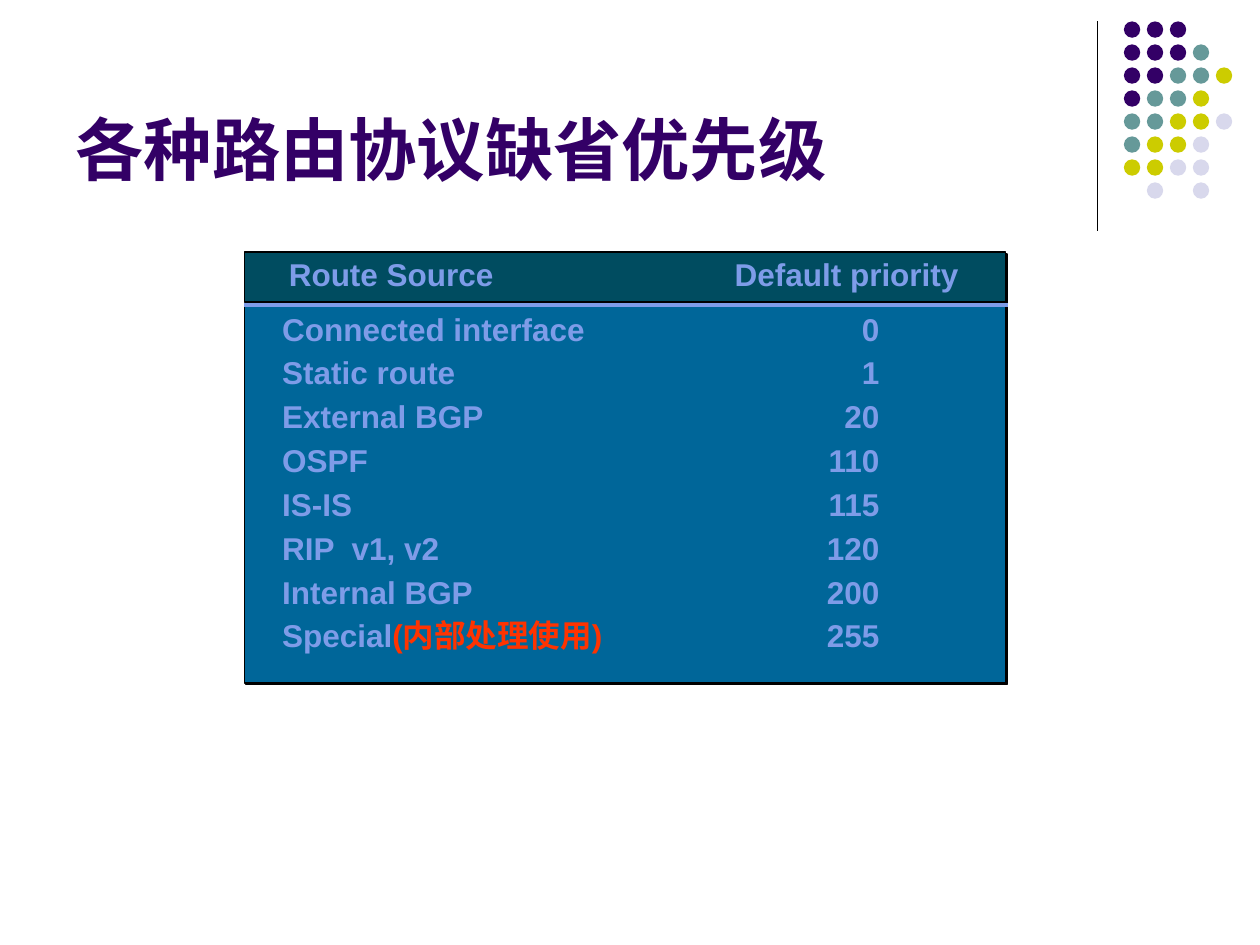
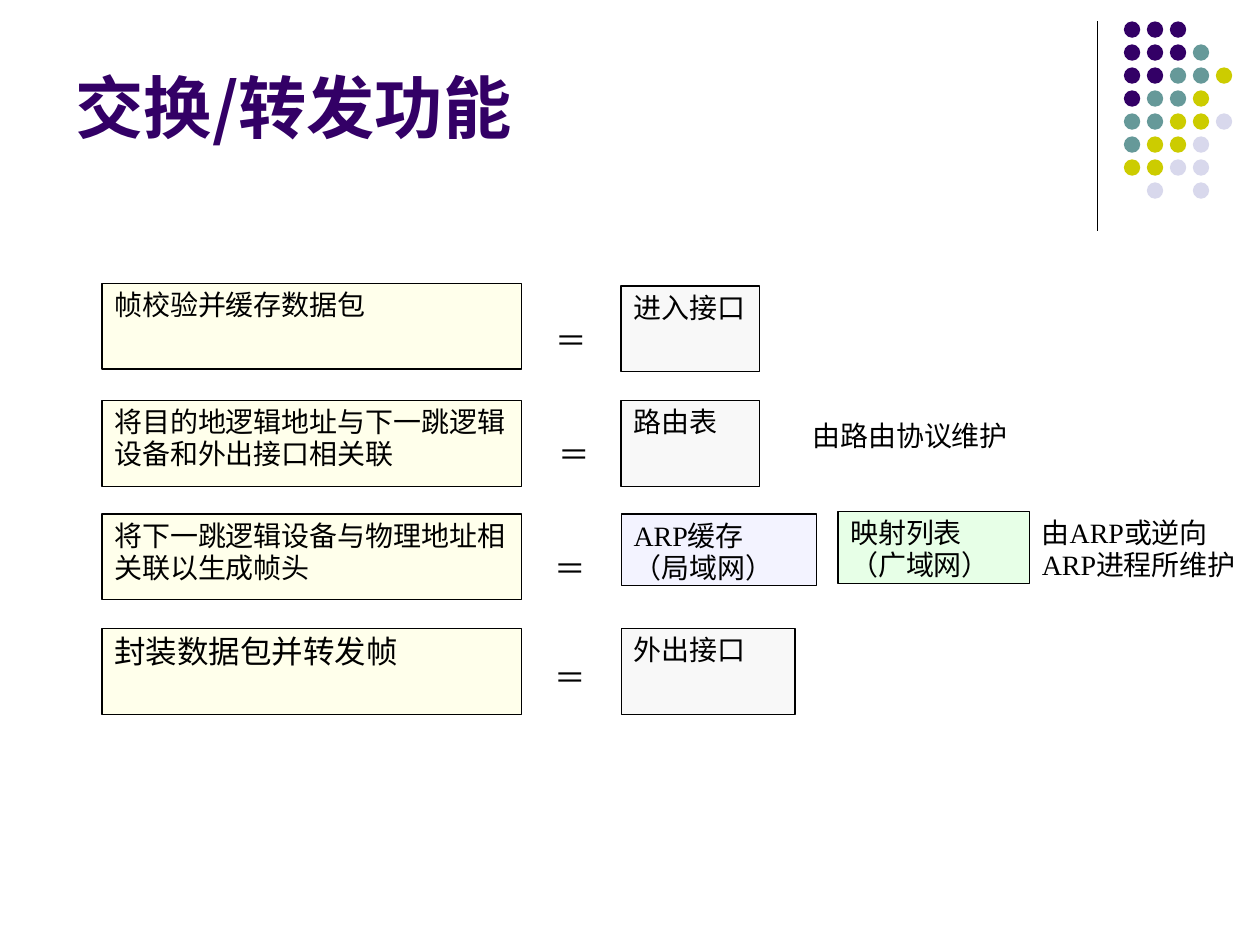
from dataclasses import dataclass

from lxml import etree
from pptx import Presentation
from pptx.dml.color import RGBColor
from pptx.enum import shapes, text
from pptx.oxml import ns
from pptx.util import Inches, Pt

PURPLE = RGBColor(0x33, 0x00, 0x66)
TEAL = RGBColor(0x66, 0x99, 0x99)
OLIVE = RGBColor(0xCC, 0xCC, 0x00)
LAVENDER = RGBColor(0xD8, 0xD8, 0xEC)
BLACK = RGBColor(0x00, 0x00, 0x00)
WHITE = RGBColor(0xFF, 0xFF, 0xFF)
HEADER_FILL = RGBColor(0x00, 0x4C, 0x60)
BODY_FILL = RGBColor(0x00, 0x66, 0x99)
PERIWINKLE = RGBColor(0x7E, 0x9C, 0xE8)
RED = RGBColor(0xFF, 0x33, 0x00)
CREAM = RGBColor(0xFF, 0xFF, 0xEB)
PALE_GREY = RGBColor(0xF8, 0xF8, 0xF8)
PALE_BLUE = RGBColor(0xF3, 0xF3, 0xFF)
PALE_GREEN = RGBColor(0xE7, 0xFF, 0xE7)

SANS = "Arial"
SERIF = "Times New Roman"
CJK = "Noto Sans CJK SC"

DOT_COLORS = {"P": PURPLE, "T": TEAL, "Y": OLIVE, "L": LAVENDER}
DOT_ROWS = ["PPP", "PPPT", "PPTTY", "PTTY", "TTYYL", "TYYL", "YYLL", " L L"]
DOT_PITCH = 0.73 / 4

ROUTE_PRIORITIES = [
    ("Connected interface", "", "0"),
    ("Static route", "", "1"),
    ("External BGP", "", "20"),
    ("OSPF", "", "110"),
    ("IS-IS", "", "115"),
    ("RIP  v1, v2", "", "120"),
    ("Internal BGP", "", "200"),
    ("Special", "(内部处理使用)", "255"),
]


@dataclass
class Box:
    left: float
    top: float
    width: float
    height: float

    def place(self):
        return [Inches(n) for n in (self.left, self.top, self.width, self.height)]


@dataclass
class Panel:
    box: Box
    lines: list[str]
    fill: RGBColor
    outlined: bool = True
    size: float = 16
    centered: bool = False


TITLE_BOX = Box(0.5, 0.13, 8.25, 1.42)
TABLE_HEADER = Box(1.94, 2, 6.04, 0.4)
TABLE_BODY = Box(1.94, 2.42, 6.04, 3)

STEP_TOPS = [2.25, 3.18, 4.08, 4.99]
STEPS = [
    ("帧校验并缓存数据包", 16),
    ("将目的地逻辑地址与下一跳逻辑设备和外出接口相关联", 16),
    ("将下一跳逻辑设备与物理地址相关联以生成帧头", 16),
    ("封装数据包并转发帧", 18),
]
EQUALS_BOXES = [
    Box(4.14, 2.5, 0.79, 0.34),
    Box(4.19, 3.4, 0.74, 0.34),
    Box(4.16, 4.31, 0.74, 0.34),
    Box(4.16, 5.17, 0.74, 0.34),
]
RESULTS = [
    Panel(Box(4.93, 2.27, 1.1, 0.68), ["进入接口"], PALE_GREY),
    Panel(Box(4.93, 3.18, 1.1, 0.68), ["路由表"], PALE_GREY),
    Panel(Box(4.93, 4.08, 1.55, 0.57), ["ARP缓存", "（局域网）"], PALE_BLUE),
    Panel(Box(4.93, 4.99, 1.38, 0.68), ["外出接口"], PALE_GREY),
    Panel(Box(6.35, 3.29, 2.38, 0.37), ["由路由协议维护"], WHITE, outlined=False),
    Panel(Box(8.17, 4.06, 1.83, 0.57), ["由ARP或逆向ARP进程所维护"], WHITE, outlined=False),
    Panel(Box(6.65, 4.06, 1.52, 0.57), ["映射列表", "（广域网）"], PALE_GREEN),
]


def shadow_effect(distance: float):
    """Return an effect list with one hard black shadow to the lower right."""
    effects = etree.Element(ns.qn("a:effectLst"))
    shadow = etree.SubElement(effects, ns.qn("a:outerShdw"), blurRad="0",
                              dist=str(Pt(distance)), dir="2700000", algn="ctr", rotWithShape="0")
    etree.SubElement(shadow, ns.qn("a:srgbClr"), val=str(BLACK))
    return effects


def add_run(paragraph, words: str, size: float, font: str, color: RGBColor,
            bold: bool = False, shadow: bool = False) -> None:
    run = paragraph.add_run()
    run.text = words
    run.font.size = Pt(size)
    run.font.bold = bold
    run.font.color.rgb = color
    run.font.name = font
    properties = run.font._element
    latin = properties.find(ns.qn("a:latin"))
    latin.addnext(etree.Element(ns.qn("a:ea"), typeface=CJK))
    if shadow:
        latin.addprevious(shadow_effect(1.4))


def set_insets(frame, across: float, down: float) -> None:
    frame.margin_left = frame.margin_right = Inches(across)
    frame.margin_top = frame.margin_bottom = Inches(down)


def add_rectangle(slide, box: Box, fill: RGBColor, line_width: float = 0):
    shape = slide.shapes.add_shape(shapes.MSO_SHAPE.RECTANGLE, *box.place())
    shape.shadow.inherit = False
    shape.fill.solid()
    shape.fill.fore_color.rgb = fill
    if line_width:
        shape.line.color.rgb = BLACK
        shape.line.width = Pt(line_width)
    else:
        shape.line.fill.background()
    return shape


def add_line(slide, start: tuple[float, float], end: tuple[float, float],
             color: RGBColor, width: float) -> None:
    points = [Inches(n) for n in (*start, *end)]
    line = slide.shapes.add_connector(shapes.MSO_CONNECTOR.STRAIGHT, *points)
    line.line.color.rgb = color
    line.line.width = Pt(width)
    etree.SubElement(line._element.spPr, ns.qn("a:effectLst"))


def add_dot_corner(slide) -> None:
    add_line(slide, (8.71, 0.17), (8.71, 1.83), BLACK, 0.75)
    group = slide.shapes.add_group_shape()
    for row, codes in enumerate(DOT_ROWS):
        for column, code in enumerate(codes):
            if code == " ":
                continue
            box = Box(8.92 + column * DOT_PITCH, 0.17 + row * DOT_PITCH, 0.13, 0.13)
            dot = group.shapes.add_shape(shapes.MSO_SHAPE.OVAL, *box.place())
            dot.shadow.inherit = False
            dot.fill.solid()
            dot.fill.fore_color.rgb = DOT_COLORS[code]
            dot.line.fill.background()


def add_base_slide(presentation, title: str, anchor):
    """Add a slide with the shared corner decoration and title style."""
    slide = presentation.slides.add_slide(presentation.slide_layouts[5])
    add_dot_corner(slide)
    shape = slide.shapes.title
    shape.left, shape.top, shape.width, shape.height = TITLE_BOX.place()
    frame = shape.text_frame
    set_insets(frame, 0.1, 0.05)
    frame.word_wrap = True
    frame.auto_size = text.MSO_AUTO_SIZE.NONE
    frame.vertical_anchor = anchor
    paragraph = frame.paragraphs[0]
    paragraph.alignment = text.PP_ALIGN.LEFT
    add_run(paragraph, title, 39, CJK, PURPLE, bold=True)
    return slide


def add_table_text(slide, box: Box, wrap: bool):
    frame = slide.shapes.add_textbox(*box.place()).text_frame
    set_insets(frame, 0.13, 0.06)
    frame.word_wrap = wrap
    return frame


def add_table_run(paragraph, words: str, color: RGBColor = PERIWINKLE) -> None:
    add_run(paragraph, words, 18, SANS, color, bold=True, shadow=True)


def add_right_tab(paragraph, position: float) -> None:
    tabs = etree.SubElement(paragraph._p.get_or_add_pPr(), ns.qn("a:tabLst"))
    etree.SubElement(tabs, ns.qn("a:tab"), pos=str(Inches(position)), algn="r")


def add_panel(slide, panel: Panel) -> None:
    shape = add_rectangle(slide, panel.box, panel.fill, 0.75 if panel.outlined else 0)
    frame = shape.text_frame
    set_insets(frame, 0.1, 0.05)
    frame.word_wrap = True
    frame.vertical_anchor = text.MSO_ANCHOR.TOP
    for index, words in enumerate(panel.lines):
        paragraph = frame.add_paragraph() if index else frame.paragraphs[0]
        paragraph.alignment = text.PP_ALIGN.CENTER if panel.centered else text.PP_ALIGN.LEFT
        paragraph.line_spacing = 1.0 if panel.centered else 0.96
        add_run(paragraph, words, panel.size, SERIF, BLACK)


def build_priority_slide(presentation) -> None:
    slide = add_base_slide(presentation, "各种路由协议缺省优先级", text.MSO_ANCHOR.BOTTOM)
    for box, fill in ((TABLE_HEADER, HEADER_FILL), (TABLE_BODY, BODY_FILL)):
        properties = add_rectangle(slide, box, fill, 1)._element.spPr
        properties.replace(properties.find(ns.qn("a:effectLst")), shadow_effect(1.4))

    frame = add_table_text(slide, Box(2.11, 2.42, 5.67, 2.85), wrap=True)
    for index, (source, remark, priority) in enumerate(ROUTE_PRIORITIES):
        paragraph = frame.add_paragraph() if index else frame.paragraphs[0]
        add_right_tab(paragraph, 4.74)
        paragraph.line_spacing = 0.95
        if index:
            paragraph.space_before = Pt(4.5)
        add_table_run(paragraph, source)
        if remark:
            add_table_run(paragraph, remark, RED)
        add_table_run(paragraph, "\t" + priority)

    add_line(slide, (1.94, 2.42), (8, 2.42), PERIWINKLE, 2)
    headings = [("Route Source", Box(2.16, 2, 1.89, 0.4)),
                ("Default priority", Box(5.7, 2, 2.04, 0.4))]
    for heading, box in headings:
        paragraph = add_table_text(slide, box, wrap=False).paragraphs[0]
        paragraph.alignment = text.PP_ALIGN.CENTER
        paragraph.line_spacing = 0.9
        add_table_run(paragraph, heading)


def build_forwarding_slide(presentation) -> None:
    slide = add_base_slide(presentation, "交换/转发功能", text.MSO_ANCHOR.MIDDLE)
    signs = [Panel(box, ["＝"], WHITE, outlined=False, size=18, centered=True)
             for box in EQUALS_BOXES]
    steps = [Panel(Box(0.81, top, 3.33, 0.68), [words], CREAM, size=size)
             for top, (words, size) in zip(STEP_TOPS, STEPS)]
    for panel in signs + steps + RESULTS:
        add_panel(slide, panel)


def main() -> None:
    presentation = Presentation()
    presentation.slide_width = Inches(10)
    presentation.slide_height = Inches(7.5)
    build_priority_slide(presentation)
    build_forwarding_slide(presentation)
    presentation.save("out.pptx")


if __name__ == "__main__":
    main()
